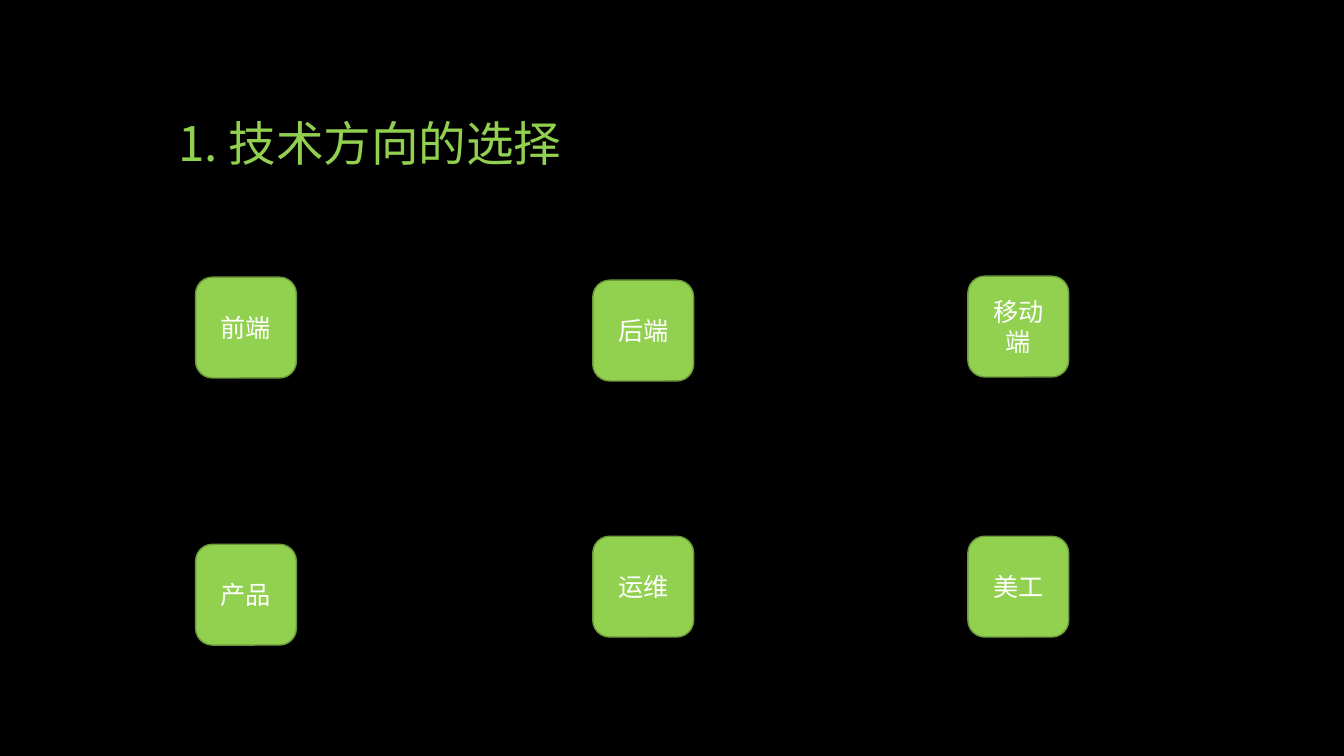
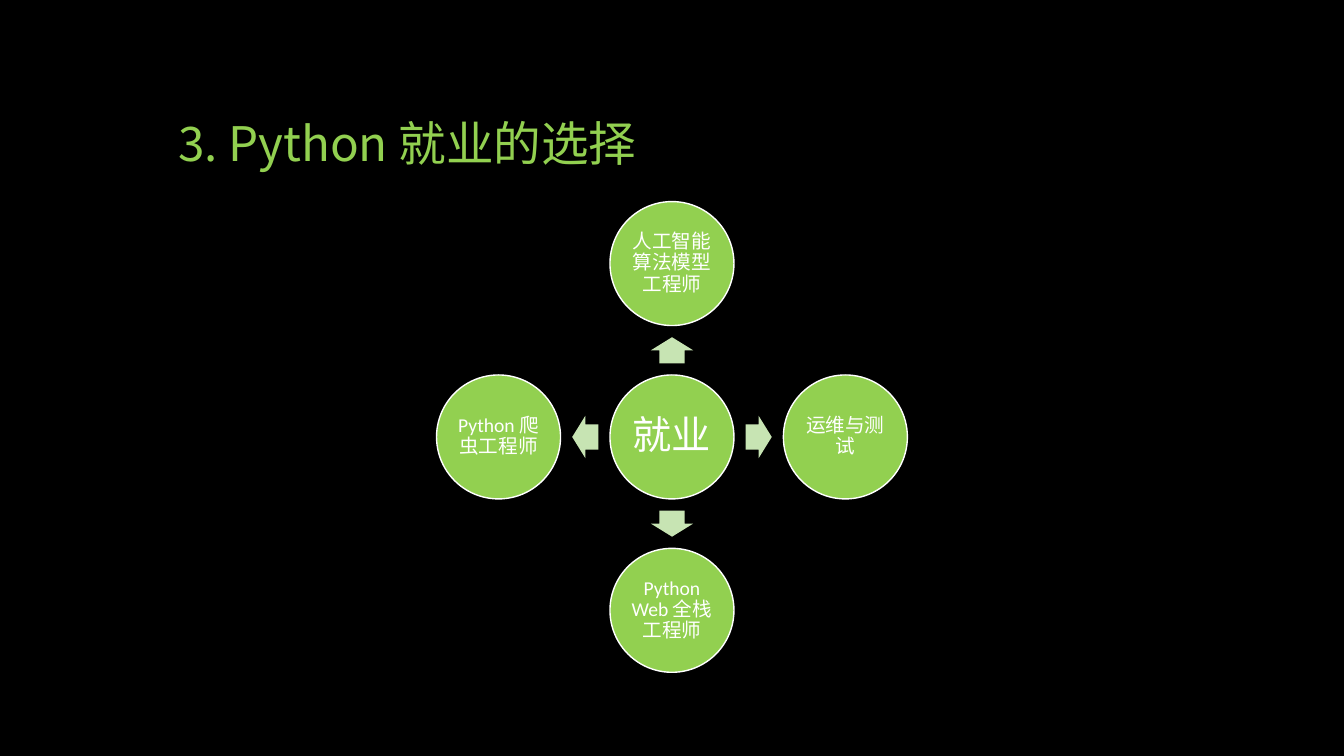
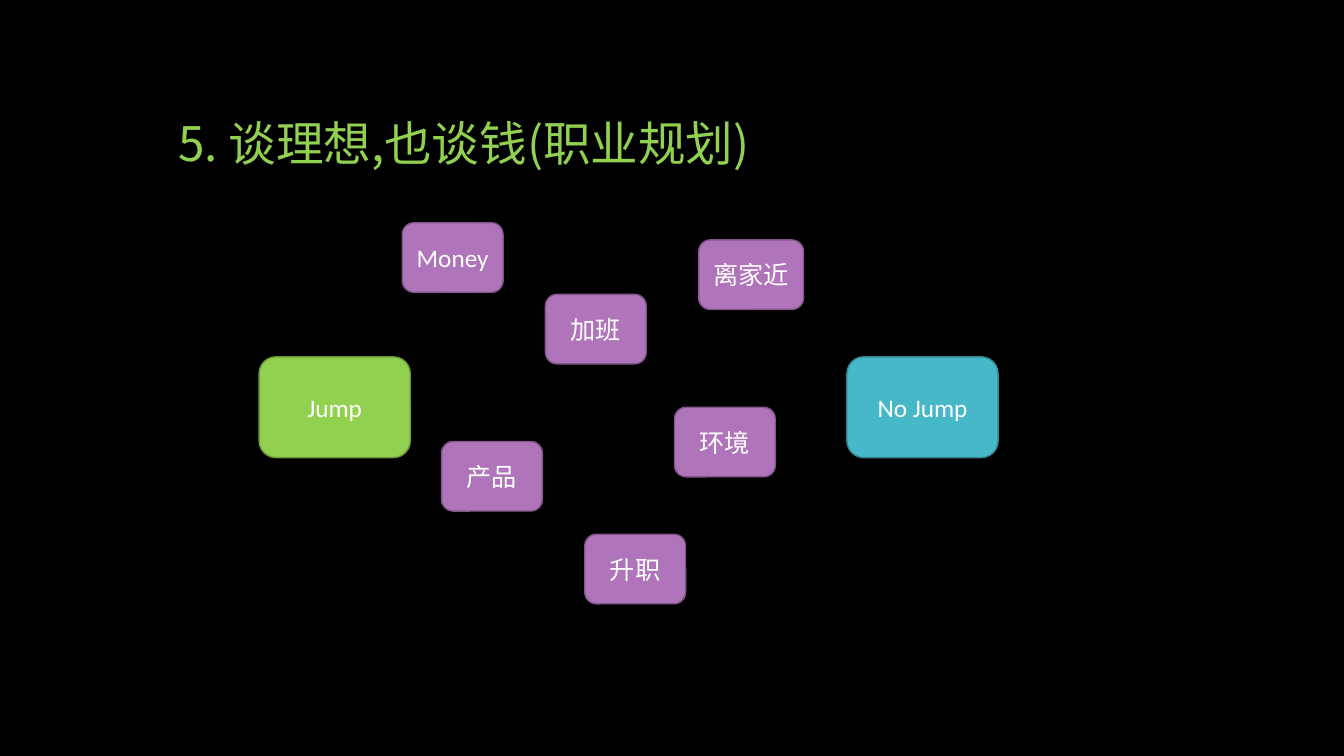
from lxml import etree
from pptx import Presentation
from pptx.dml.color import RGBColor
from pptx.enum.shapes import MSO_SHAPE
from pptx.enum.text import MSO_ANCHOR, PP_ALIGN
from pptx.oxml.ns import qn
from pptx.util import Inches, Pt

ROUNDED = MSO_SHAPE.ROUNDED_RECTANGLE
OVAL = MSO_SHAPE.OVAL
ARROW = MSO_SHAPE.RIGHT_ARROW
CENTER, LEFT = PP_ALIGN.CENTER, PP_ALIGN.LEFT
MIDDLE, BOTTOM = MSO_ANCHOR.MIDDLE, MSO_ANCHOR.BOTTOM

BLACK = RGBColor(0x00, 0x00, 0x00)
WHITE = RGBColor(0xFF, 0xFF, 0xFF)
GREEN = RGBColor(0x92, 0xD0, 0x50)
DARK_GREEN = RGBColor(0x6C, 0x9A, 0x3B)
PALE_GREEN = RGBColor(0xC7, 0xE4, 0xB3)
TEAL = RGBColor(0x47, 0xB8, 0xC7)
DARK_TEAL = RGBColor(0x35, 0x88, 0x93)
PURPLE = RGBColor(0xB0, 0x74, 0xBA)
DARK_PURPLE = RGBColor(0x82, 0x56, 0x8A)

BODY_FONT = "Calibri"
CHINESE_FONT = "Noto Sans CJK SC"
TITLE_BOX = (1.67, 0.5, 10, 1.25)
MARGINS = ("margin_left", "margin_top", "margin_right", "margin_bottom")


# Shared helpers
def write_text(shape, text, size, color=WHITE, font=BODY_FONT, align=CENTER,
               anchor=MIDDLE, spacing=1.0, inset=None):
    frame = shape.text_frame
    frame.word_wrap = True
    frame.vertical_anchor = anchor
    if inset is not None:
        for margin in MARGINS:
            setattr(frame, margin, Inches(inset))
    paragraph = frame.paragraphs[0]
    for name, value in {"alignment": align, "line_spacing": spacing}.items():
        setattr(paragraph, name, value)
    run = paragraph.add_run()
    run.text = text
    for name, value in {"name": font, "size": Pt(size)}.items():
        setattr(run.font, name, value)
    run.font.color.rgb = color
    east_asian = etree.SubElement(run._r.get_or_add_rPr(), qn("a:ea"))
    east_asian.set("typeface", CHINESE_FONT)


def add_figure(shapes, kind, box, fill, line=None):
    shape = shapes.add_shape(kind, *map(Inches, box))
    shape.shadow.inherit = False
    shape.fill.solid()
    shape.fill.fore_color.rgb = fill
    if line is None:
        shape.line.fill.background()
    else:
        shape.line.color.rgb = line
        shape.line.width = Pt(1)
    return shape


def add_card(slide, text, box, fill=GREEN, line=DARK_GREEN):
    write_text(add_figure(slide.shapes, ROUNDED, box, fill, line), text, 18)


def add_titled_slide(presentation, title):
    slide = presentation.slides.add_slide(presentation.slide_layouts[6])
    title_shape = slide.shapes.add_textbox(*map(Inches, TITLE_BOX))
    write_text(title_shape, title, 34, GREEN, CHINESE_FONT, LEFT, BOTTOM, 0.9)
    return slide


# Slide 1: technical directions
def build_directions(presentation):
    slide = add_titled_slide(presentation, "1. 技术方向的选择")
    columns = (
        (1.94, (("前端", 2.75), ("产品", 5.4))),
        (5.88, (("后端", 2.78), ("运维", 5.32))),
        (9.6, (("移动端", 2.74), ("美工", 5.32))),
    )
    for left, cards in columns:
        for text, top in cards:
            add_card(slide, text, (left, top, 1, 1))


# Slide 2: a hub with four jobs around it
def add_job_wheel(slide, box, hub, jobs):
    left, top, size = box
    diameter, reach = 1.23, 1.72
    arrow_width, arrow_height = 0.26, 0.42
    center_x, center_y = left + size / 2, top + size / 2
    group = slide.shapes.add_group_shape()

    def centered(x, y, width, height):
        return (center_x + x - width / 2, center_y + y - height / 2,
                width, height)

    def add_circle(text, x, y, text_size, inset):
        circle = add_figure(group.shapes, OVAL,
                            centered(x, y, diameter, diameter), GREEN, WHITE)
        write_text(circle, text, text_size, spacing=0.9, inset=inset)

    add_circle(hub, 0, 0, 28, 0.04)
    for text, x, y, rotation in jobs:
        arrow_box = centered(x * reach / 2, y * reach / 2,
                             arrow_width, arrow_height)
        arrow = add_figure(group.shapes, ARROW, arrow_box, PALE_GREEN)
        arrow.rotation = rotation
        arrow.adjustments[0], arrow.adjustments[1] = 0.6, 0.5
        add_circle(text, x * reach, y * reach, 14, 0.02)


def build_jobs(presentation):
    slide = add_titled_slide(presentation, "3. Python 就业的选择")
    jobs = (
        ("人工智能算法模型工程师", 0, -1, 270),
        ("运维与测试", 1, 0, 0),
        ("Python Web 全栈工程师", 0, 1, 90),
        ("Python 爬虫工程师", -1, 0, 180),
    )
    add_job_wheel(slide, (4.33, 2, 4.67), "就业", jobs)


# Slide 3: two choices and the reasons between them
def build_career(presentation):
    slide = add_titled_slide(presentation, "5. 谈理想,也谈钱(职业规划)")
    add_card(slide, "Jump", (2.57, 3.54, 1.5, 1))
    add_card(slide, "No Jump", (8.4, 3.54, 1.5, 1), TEAL, DARK_TEAL)
    reasons = (
        ("升职", 5.8, 5.3, 1),
        ("Money", 3.99, 2.21, 1),
        ("环境", 6.69, 4.04, 1),
        ("产品", 4.38, 4.38, 1),
        ("离家近", 6.93, 2.38, 1.04),
        ("加班", 5.41, 2.92, 1),
    )
    for text, left, top, width in reasons:
        add_card(slide, text, (left, top, width, 0.69), PURPLE, DARK_PURPLE)


def main():
    presentation = Presentation()
    presentation.slide_width = Inches(13.33)
    presentation.slide_height = Inches(7.5)
    background = presentation.slide_master.background.fill
    background.solid()
    background.fore_color.rgb = BLACK
    for build in (build_directions, build_jobs, build_career):
        build(presentation)
    presentation.save("out.pptx")


if __name__ == "__main__":
    main()
